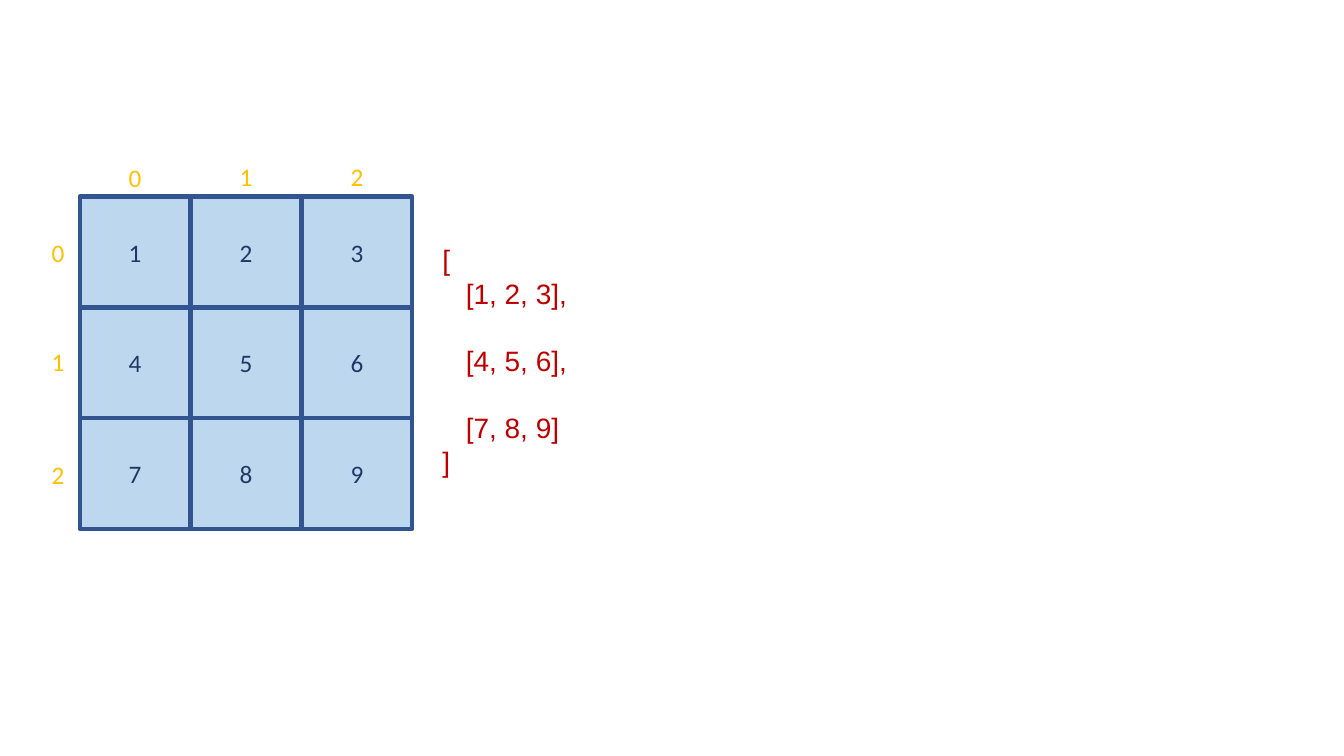
"""Build a slide showing a 3 by 3 matrix, its indices and its nested list."""
from dataclasses import dataclass

from pptx import Presentation
from pptx import util as u
from pptx.dml import color
from pptx.enum import shapes, text

SIDE = 1.1
LEFT, TOP = 0.79, 1.95
CODE = ["[", "   [1, 2, 3],", "   [4, 5, 6],", "   [7, 8, 9]", "]"]


@dataclass
class Label:
    text: str
    left: float
    top: float
    width: float


def paint(target, tone: str) -> None:
    """Give a font, line or fill a solid colour."""
    if hasattr(target, "solid"):
        target.solid()
        target.fore_color.rgb = color.RGBColor.from_string(tone)
    else:
        target.color.rgb = color.RGBColor.from_string(tone)


def style(frame, size: int, face: str, tone: str, align) -> None:
    """Format every run of a text frame."""
    for para in frame.paragraphs:
        para.alignment = align
        for run in para.runs:
            run.font.size = u.Pt(size)
            run.font.name = face
            paint(run.font, tone)


def add_cell(slide, row: int, col: int) -> None:
    """Draw one numbered square of the matrix."""
    cell = slide.shapes.add_shape(
        shapes.MSO_SHAPE.RECTANGLE,
        u.Inches(LEFT + col * SIDE), u.Inches(TOP + row * SIDE),
        u.Inches(SIDE), u.Inches(SIDE))
    cell.shadow.inherit = False
    paint(cell.fill, "BDD7EE")
    paint(cell.line, "325491")
    cell.line.width = u.Pt(3)
    frame = cell.text_frame
    frame.text = str(row * 3 + col + 1)
    frame.vertical_anchor = text.MSO_ANCHOR.MIDDLE
    style(frame, 18, "Calibri", "203864", text.PP_ALIGN.CENTER)


def add_label(slide, label: Label) -> None:
    """Draw one row or column index."""
    box = slide.shapes.add_textbox(
        u.Inches(label.left), u.Inches(label.top),
        u.Inches(label.width), u.Inches(0.4))
    frame = box.text_frame
    frame.word_wrap = True
    frame.auto_size = text.MSO_AUTO_SIZE.SHAPE_TO_FIT_TEXT
    frame.text = label.text
    style(frame, 18, "Calibri", "FFC000", text.PP_ALIGN.CENTER)


def add_code(slide) -> None:
    """Write the nested list beside the matrix."""
    box = slide.shapes.add_textbox(
        u.Inches(4.29), u.Inches(2.36), u.Inches(1.47), u.Inches(2.46))
    frame = box.text_frame
    frame.word_wrap = False
    frame.auto_size = text.MSO_AUTO_SIZE.SHAPE_TO_FIT_TEXT
    frame.text = "\n".join(CODE)
    style(frame, 20, "Arial", "C00000", text.PP_ALIGN.LEFT)
    for para in frame.paragraphs:
        para.line_spacing = u.Pt(24)
    for para in frame.paragraphs[2:4]:
        para.space_before = u.Pt(24)


def main() -> None:
    """Build and save the slide."""
    deck = Presentation()
    deck.slide_width, deck.slide_height = u.Inches(13.33), u.Inches(7.5)
    slide = deck.slides.add_slide(deck.slide_layouts[6])
    for row in range(3):
        for col in range(3):
            add_cell(slide, row, col)
    tops = [1.56, 1.55, 1.55]
    cols = [Label(str(i), LEFT + i * SIDE, top, SIDE)
            for i, top in enumerate(tops)]
    rows = [Label(str(i), 0.19, top, 0.77)
            for i, top in enumerate([2.31, 3.39, 4.51])]
    for label in cols + rows:
        add_label(slide, label)
    add_code(slide)
    deck.save("out.pptx")


if __name__ == "__main__":
    main()
